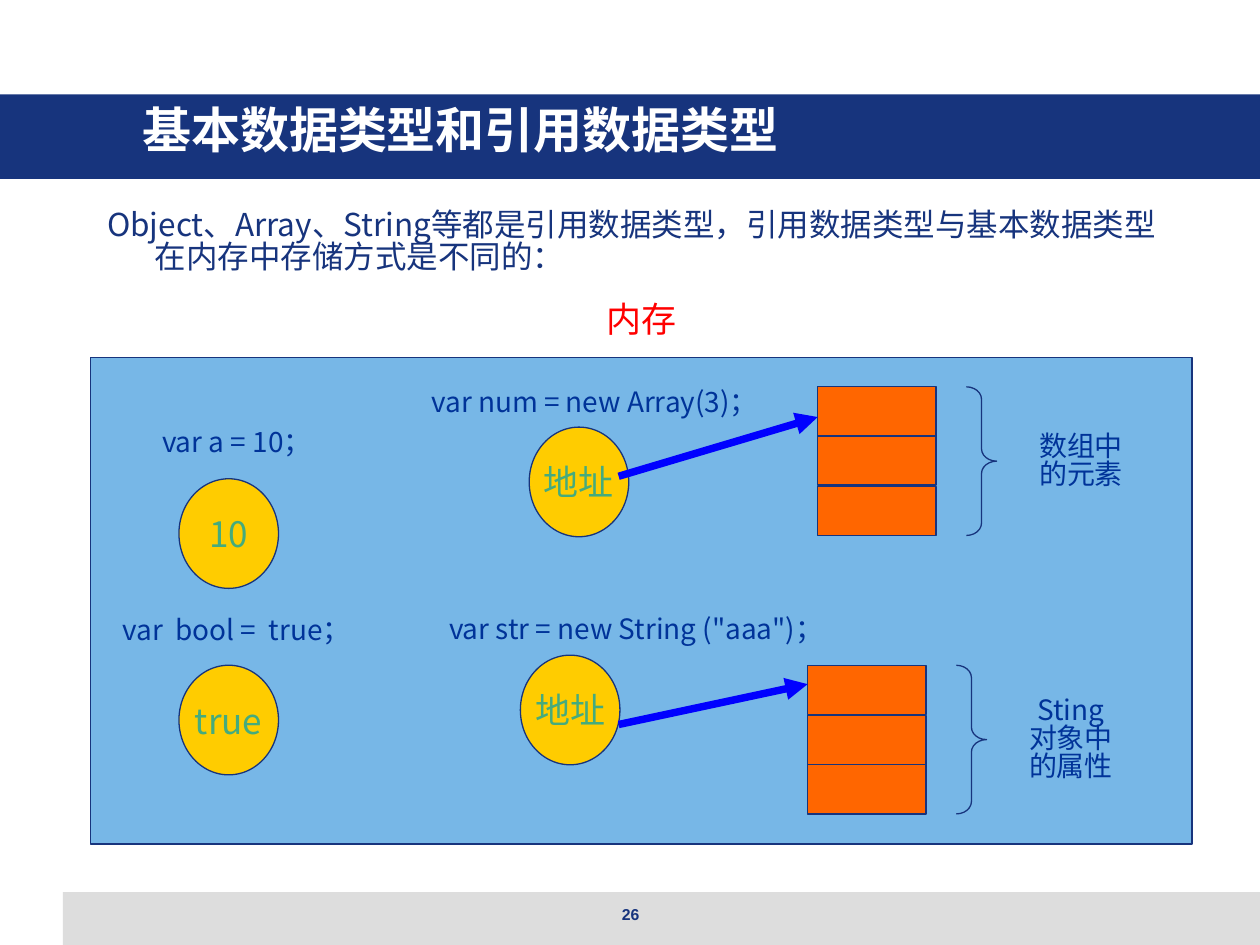
from dataclasses import dataclass
from typing import NamedTuple

from lxml import etree
from pptx import Presentation
from pptx.dml.color import RGBColor
from pptx.enum.shapes import MSO_CONNECTOR, MSO_SHAPE
from pptx.enum.text import MSO_ANCHOR, MSO_AUTO_SIZE, PP_ALIGN
from pptx.oxml.ns import qn
from pptx.util import Pt

RECTANGLE, OVAL, BRACE = MSO_SHAPE.RECTANGLE, MSO_SHAPE.OVAL, MSO_SHAPE.RIGHT_BRACE
STRAIGHT = MSO_CONNECTOR.STRAIGHT
LEFT, CENTER = PP_ALIGN.LEFT, PP_ALIGN.CENTER
TOP, MIDDLE = MSO_ANCHOR.TOP, MSO_ANCHOR.MIDDLE
NO_AUTOFIT = MSO_AUTO_SIZE.NONE

EMU_PER_PX = 9144  # 100 px to the inch


@dataclass(frozen=True)
class Theme:
    navy: str = "17347D"
    white: str = "FFFFFF"
    grey: str = "DDDDDD"
    sky: str = "77B7E7"
    yellow: str = "FFCC00"
    orange: str = "FF6600"
    green: str = "45AB7D"
    label: str = "003399"
    arrow: str = "0000FF"
    red: str = "FF0000"
    font: str = "Noto Sans CJK SC"
    heading_font: str = "Arial"
    title_size: int = 28
    value_size: int = 20
    body_size: int = 18
    label_size: int = 16
    page_size: int = 9
    outline: float = 0.75
    arrow_width: float = 4.25


THEME = Theme()


class Box(NamedTuple):
    left: int
    top: int
    width: int
    height: int


class Variable(NamedTuple):
    code: str
    label: Box
    value: str
    circle: Box


class Reference(NamedTuple):
    cells_left: int
    cells_top: int
    arrow: tuple[int, int, int, int]
    note: str


VARIABLES = [
    Variable("var a = 10；", Box(113, 331, 150, 39), "10", Box(142, 380, 79, 87)),
    Variable("var  bool =  true；", Box(113, 480, 150, 39), "true", Box(142, 528, 79, 87)),
    Variable("var num = new Array(3)；", Box(397, 299, 150, 39), "地址", Box(420, 339, 79, 87)),
    Variable('var str = new String ("aaa")；', Box(430, 479, 150, 39), "地址", Box(413, 520, 79, 87)),
]
REFERENCES = [
    Reference(649, 307, (491, 378, 649, 331), "数组中\n的元素"),
    Reference(641, 528, (491, 575, 641, 543), "Sting\n对象中\n的属性"),
]
CELL_COUNT = 3
CELL_PITCH = 39.5


def px(value: float) -> int:
    return round(value * EMU_PER_PX)


def emu(box: Box) -> list[int]:
    return [px(value) for value in box]


def rgb(color: str) -> RGBColor:
    return RGBColor.from_string(color)


def write(shape, text: str, *, size: int, color: str, font: str = THEME.font,
          bold: bool = False, align=CENTER, anchor=MIDDLE, wrap: bool = False,
          spacing: float | None = None) -> None:
    frame = shape.text_frame
    frame.auto_size = NO_AUTOFIT
    frame.word_wrap = wrap
    frame.vertical_anchor = anchor
    frame.text = text
    for paragraph in frame.paragraphs:
        paragraph.alignment = align
        paragraph.space_before = Pt(0)
        if spacing:
            paragraph.line_spacing = spacing
        for run in paragraph.runs:
            run.font.name = font
            run.font.size = Pt(size)
            run.font.bold = bold
            run.font.color.rgb = rgb(color)
            east_asian = etree.SubElement(run.font._element, qn("a:ea"))
            east_asian.set("typeface", THEME.font)


def set_margins(shape, margin: int) -> None:
    frame = shape.text_frame
    frame.margin_left = frame.margin_right = px(margin)
    frame.margin_top = frame.margin_bottom = px(margin)


def place(shape, box: Box) -> None:
    shape.left, shape.top, shape.width, shape.height = emu(box)


def draw_shape(slide, kind, box: Box, fill: str | None = None, line: str | None = None):
    shape = slide.shapes.add_shape(kind, *emu(box))
    shape.shadow.inherit = False
    if fill:
        shape.fill.solid()
        shape.fill.fore_color.rgb = rgb(fill)
    else:
        shape.fill.background()
    if line:
        shape.line.color.rgb = rgb(line)
        shape.line.width = Pt(THEME.outline)
    else:
        shape.line.fill.background()
    return shape


def draw_label(slide, text: str, box: Box, spacing: float | None = None) -> None:
    shape = draw_shape(slide, RECTANGLE, box, THEME.sky)
    write(shape, text, size=THEME.label_size, color=THEME.label, spacing=spacing)


def draw_arrow(slide, ends: tuple[int, int, int, int]) -> None:
    connector = slide.shapes.add_connector(STRAIGHT, *[px(end) for end in ends])
    connector.line.color.rgb = rgb(THEME.arrow)
    connector.line.width = Pt(THEME.arrow_width)
    etree.SubElement(connector.line._get_or_add_ln(), qn("a:tailEnd")).set("type", "triangle")
    etree.SubElement(connector._element.spPr, qn("a:effectLst"))


def draw_variable(slide, variable: Variable) -> None:
    draw_label(slide, variable.code, variable.label)
    circle = draw_shape(slide, OVAL, variable.circle, THEME.yellow, THEME.navy)
    write(circle, variable.value, size=THEME.value_size, color=THEME.green)


def draw_reference(slide, reference: Reference) -> None:
    left, top = reference.cells_left, reference.cells_top
    for index in range(CELL_COUNT):
        cell = Box(left, round(top + index * CELL_PITCH), 94, 39)
        draw_shape(slide, RECTANGLE, cell, THEME.orange, THEME.navy)
    draw_arrow(slide, reference.arrow)
    brace = draw_shape(slide, BRACE, Box(left + 118, top, 24, 118), line=THEME.navy)
    brace.adjustments[0] = 0.41
    draw_label(slide, reference.note, Box(left + 150, top + 40, 118, 39), spacing=0.83)


def main() -> None:
    presentation = Presentation()
    presentation.slide_width, presentation.slide_height = px(1000), px(750)
    slide = presentation.slides.add_slide(presentation.slide_layouts[1])

    # Bands behind the placeholders
    for box, color in [(Box(50, 708, 950, 42), THEME.grey), (Box(0, 75, 1000, 67), THEME.navy)]:
        band = draw_shape(slide, RECTANGLE, box, color)
        band._element.getparent().insert(2, band._element)

    # Title and introduction
    title, body = slide.placeholders
    place(title, Box(113, 84, 859, 94))
    set_margins(title, 0)
    write(title, "基本数据类型和引用数据类型", size=THEME.title_size, color=THEME.white,
          font=THEME.heading_font, bold=True, align=LEFT, anchor=TOP, wrap=True, spacing=0.9)
    place(body, Box(75, 160, 858, 523))
    body.text_frame.margin_top = px(8)
    write(body, "Object、Array、String等都是引用数据类型，引用数据类型与基本数据类型在内存中存储方式是不同的：",
          size=THEME.body_size, color=THEME.navy, align=LEFT, anchor=TOP, wrap=True, spacing=0.83)
    properties = body.text_frame.paragraphs[0]._p.get_or_add_pPr()
    properties.set("marL", str(px(38)))
    properties.set("indent", str(px(-38)))
    etree.SubElement(properties, qn("a:buNone"))

    # Memory diagram
    draw_shape(slide, RECTANGLE, Box(72, 284, 874, 386), THEME.sky, THEME.navy)
    caption = slide.shapes.add_textbox(*emu(Box(459, 233, 100, 40)))
    write(caption, "内存", size=THEME.value_size, color=THEME.red)
    for variable in VARIABLES:
        draw_variable(slide, variable)
    for reference in REFERENCES:
        draw_reference(slide, reference)

    # Page number
    page = slide.shapes.add_textbox(*emu(Box(17, 717, 967, 17)))
    set_margins(page, 0)
    write(page, "26", size=THEME.page_size, color=THEME.navy,
          font=THEME.heading_font, bold=True, wrap=True)

    presentation.save("out.pptx")


if __name__ == "__main__":
    main()
